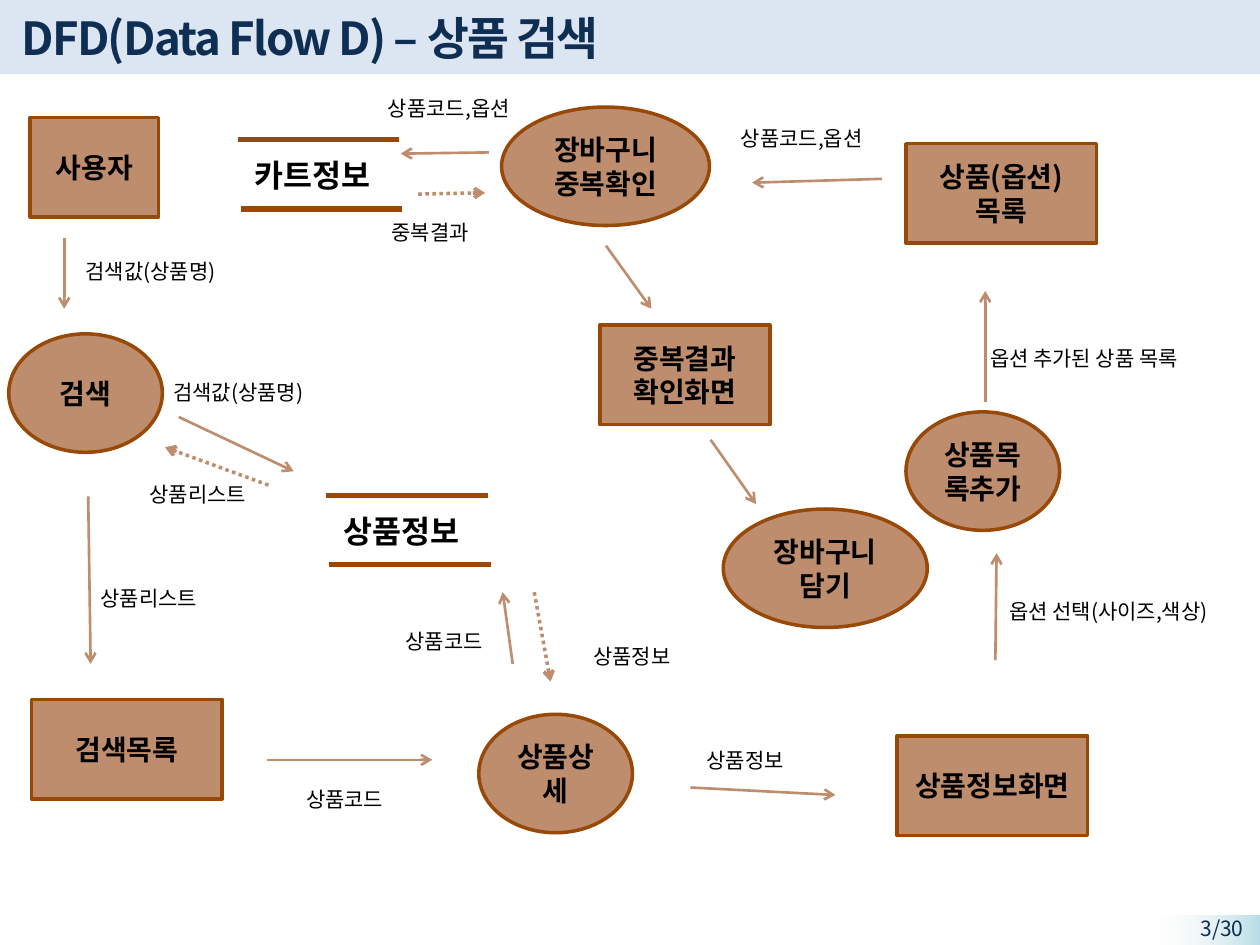
"""Build the product search data flow diagram slide."""
from lxml.etree import SubElement
from pptx import Presentation
from pptx.dml.color import RGBColor
from pptx.enum.dml import MSO_LINE
from pptx.enum.shapes import MSO_CONNECTOR, MSO_SHAPE
from pptx.enum.text import MSO_ANCHOR, MSO_AUTO_SIZE, PP_ALIGN
from pptx.oxml.ns import qn
from pptx.util import Pt

FONT = "Noto Sans CJK KR"
BLACK = RGBColor(0, 0, 0)
NAVY = RGBColor(0x0F, 0x2E, 0x53)
PALE = RGBColor(0xDC, 0xE6, 0xF2)
AQUA = RGBColor(0xB7, 0xDE, 0xE8)
GREY = RGBColor(0xF2, 0xF2, 0xF2)
TAN = RGBColor(0xBE, 0x8D, 0x6E)
BROWN = RGBColor(0x98, 0x48, 0x07)


def write(shape, text, size=12, bold=False, color=BLACK,
          align=PP_ALIGN.LEFT, anchor=MSO_ANCHOR.TOP, grow=False, space=None):
    frame = shape.text_frame
    frame.word_wrap = True
    frame.auto_size = MSO_AUTO_SIZE.SHAPE_TO_FIT_TEXT if grow else MSO_AUTO_SIZE.NONE
    frame.vertical_anchor = anchor
    frame.text = text
    for para in frame.paragraphs:
        para.alignment = align
        for run in para.runs:
            font = run.font
            font.size, font.bold, font.name = Pt(size), bold, FONT
            font.color.rgb = color
            props = run._r.get_or_add_rPr()
            SubElement(props, qn("a:ea")).set("typeface", FONT)
            if space is not None:
                props.set("spc", str(space))


def draw(start, end, color=TAN, width=1.5, dotted=False, arrow=True):
    link = slide.shapes.add_connector(
        MSO_CONNECTOR.STRAIGHT, *[Pt(v) for v in (*start, *end)])
    link.line.color.rgb = color
    link.line.width = Pt(width)
    if dotted:
        link.line.dash_style = MSO_LINE.ROUND_DOT
    if arrow:
        SubElement(link.line._get_or_add_ln(), qn("a:tailEnd")).set("type", "arrow")
    SubElement(link._element.spPr, qn("a:effectLst"))


deck = Presentation()
deck.slide_width, deck.slide_height = Pt(720), Pt(540)
slide = deck.slides.add_slide(deck.slide_layouts[5])
shapes = slide.shapes

band = shapes.add_shape(MSO_SHAPE.RECTANGLE, Pt(0), Pt(-1.4), Pt(720), Pt(43.7))
band.fill.solid()
band.fill.fore_color.rgb = PALE
corner = shapes.add_shape(MSO_SHAPE.RECTANGLE, Pt(662.4), Pt(523.2), Pt(57.6), Pt(17))
corner.fill.gradient()
corner.fill.gradient_angle = 180
for stop, color, place in zip(corner.fill.gradient_stops, (AQUA, GREY), (0, 1)):
    stop.color.rgb = color
    stop.position = place
fade = list(corner._element.spPr.iter(qn("a:srgbClr")))[-1]
SubElement(fade, qn("a:alpha")).set("val", "0")
for shape in (band, corner):
    shape.line.fill.background()
    shape.shadow.inherit = False

page = shapes.add_textbox(Pt(651.6), Pt(519.8), Pt(66.2), Pt(16.6))
write(page, "3/30", color=NAVY, align=PP_ALIGN.RIGHT)

title = shapes.title
title.left, title.top, title.width, title.height = Pt(5), Pt(2.9), Pt(612.7), Pt(37.4)
write(title, "DFD(Data Flow D) – 상품 검색", size=26, bold=True, color=NAVY,
      anchor=MSO_ANCHOR.MIDDLE, space=-100)
shapes._spTree.append(title._element)

flows = [
    ((36.7, 136.1), (36.7, 176.4)),
    ((102.2, 238.3), (167.8, 269.3)),
    ((50.4, 283.7), (51.8, 379.4)),
    ((152.6, 434.2), (247, 434.2)),
    ((293, 379.4), (287.3, 338.4)),
    ((394.6, 450), (477.4, 454.3)),
    ((568.8, 377.3), (569.5, 316.1)),
    ((563, 229.7), (563, 166.3)),
    ((504, 102.2), (429.8, 104.4)),
    ((279.4, 87.1), (229, 87.8)),
    ((346.3, 140.4), (372.2, 176.4)),
    ((406.1, 251.3), (432, 288)),
]
for start, end in flows:
    draw(start, end)

replies = [
    ((153.4, 277.2), (94.3, 255.6)),
    ((305.3, 338.4), (314.6, 389.5)),
    ((239, 110.9), (277.2, 110.2)),
]
for start, end in replies:
    draw(start, end, width=2, dotted=True)

RECT, OVAL = MSO_SHAPE.RECTANGLE, MSO_SHAPE.OVAL
HIGH = {RECT: 56.9, OVAL: 67.7}
nodes = [
    (RECT, "사용자", 17.3, 67, 73.4),
    (RECT, "검색목록", 18, 399.6, 109),
    (RECT, "상품정보화면", 512.6, 420.5, 109),
    (RECT, "상품(옵션)목록", 517.7, 82.1, 109),
    (RECT, "중복결과\n확인화면", 342.7, 185.8, 97.2),
    (OVAL, "검색", 5, 190.8, 87.8),
    (OVAL, "상품상세", 273.6, 408.2, 87.8),
    (OVAL, "상품목록추가", 517.7, 235.4, 87.8),
    (OVAL, "장바구니 중복확인", 286.6, 61.2, 118.8),
    (OVAL, "장바구니담기", 413.3, 290.9, 116.6),
]
for kind, text, left, top, wide in nodes:
    node = shapes.add_shape(kind, Pt(left), Pt(top), Pt(wide), Pt(HIGH[kind]))
    node.shadow.inherit = False
    node.fill.solid()
    node.fill.fore_color.rgb = TAN
    node.line.color.rgb = BROWN
    node.line.width = Pt(2)
    write(node, text, size=16, bold=True, align=PP_ALIGN.CENTER,
          anchor=MSO_ANCHOR.MIDDLE)

for text, left, top in [("카트정보", 136, 79.8), ("상품정보", 186.4, 283)]:
    draw((left, top), (left + 92.2, top), color=BROWN, width=3, arrow=False)
    draw((left + 1.6, top + 39.7), (left + 94, top + 39.7),
         color=BROWN, width=3, arrow=False)
    store = shapes.add_textbox(Pt(left + 2.6), Pt(top + 5.8), Pt(87.1), Pt(29))
    write(store, text, size=18, bold=True, grow=True)

labels = [
    ("검색값(상품명)", 41.8, 144, 94.3),
    ("검색값(상품명)", 91.8, 213.1, 94.3),
    ("상품리스트", 78.5, 271.4, 74.9),
    ("상품리스트", 50.4, 331.2, 74.9),
    ("상품코드", 167.8, 445.7, 63.4),
    ("상품코드", 224.6, 355.7, 63.4),
    ("상품정보", 396.7, 423.4, 63.4),
    ("상품정보", 331.9, 364.3, 63.4),
    ("옵션 선택(사이즈,색상)", 569.5, 338.4, 137.5),
    ("옵션 추가된 상품 목록", 558.7, 193.7, 136.8),
    ("상품코드,옵션", 416.2, 68.4, 90),
    ("상품코드,옵션", 214.6, 51.1, 90),
    ("중복결과", 216.7, 121.7, 63.4),
]
for text, left, top, wide in labels:
    label = shapes.add_textbox(Pt(left), Pt(top), Pt(wide), Pt(21.6))
    write(label, text, grow=True)

deck.save("out.pptx")
